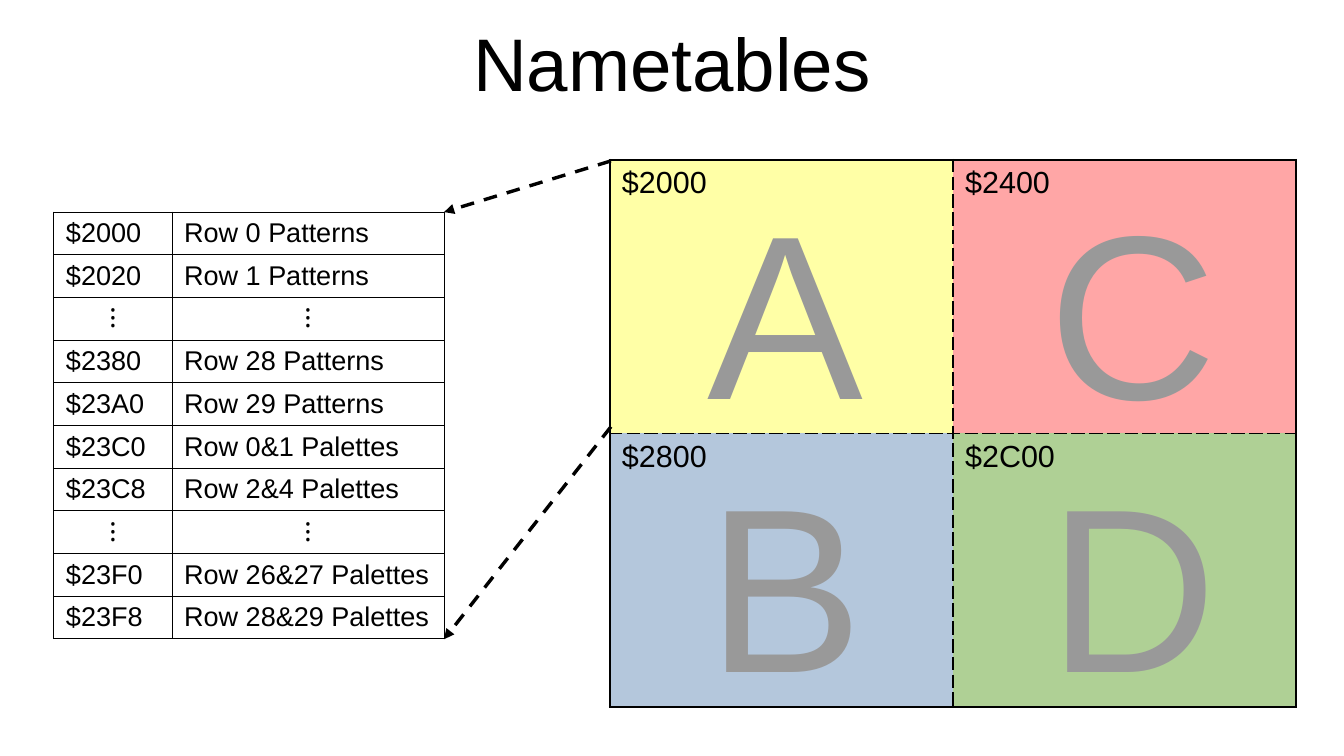
from lxml import etree
from pptx import Presentation, util as u
from pptx.dml.color import RGBColor
from pptx.enum import dml, shapes, text
from pptx.oxml import ns, parse_xml

BLACK, GREY, WHITE = "000000", "999999", "FFFFFF"
BORDER = (
    '<a:ln{side} {namespace} w="{width}"><a:solidFill><a:srgbClr val="{colour}"/>'
    '</a:solidFill><a:prstDash val="{dash}"/></a:ln{side}>'
)

presentation = Presentation()
presentation.slide_width = u.Inches(11.02)
presentation.slide_height = u.Inches(6.2)
COLUMN = presentation.slide_width / 100
ROW = presentation.slide_height / 100


def place(*lengths):
    return [u.Emu(round(length * (ROW if i % 2 else COLUMN))) for i, length in enumerate(lengths)]


def write(frame, words, size, colour, alignment=text.PP_ALIGN.LEFT):
    paragraph = frame.paragraphs[0]
    paragraph.alignment = alignment
    run = paragraph.add_run()
    run.text = words
    for name, value in {"name": "Arial", "size": u.Pt(size), "bold": False}.items():
        setattr(run.font, name, value)
    run.font.color.rgb = RGBColor.from_string(colour)


slide = presentation.slides.add_slide(presentation.slide_layouts[5])
title = slide.shapes.title
title.left, title.top, title.width, title.height = place(5, -0.3, 90, 16.8)
title_format = {
    "margin_left": 0, "margin_top": 0, "margin_right": 0, "margin_bottom": 0,
    "vertical_anchor": text.MSO_ANCHOR.MIDDLE, "word_wrap": True,
}
for name, value in title_format.items():
    setattr(title.text_frame, name, value)
write(title.text_frame, "Nametables", 44, BLACK, text.PP_ALIGN.CENTER)

map_left, map_top, map_column, map_row = 45.37, 21.13, 25.54, 36.21
list_left, list_top, list_columns, list_row = 4, 28.06, (8.8, 20.24), 5.65

nametables = [["$2000", "$2400"], ["$2800", "$2C00"]]
nametable_fills = [["FFFFA6", "FFA6A6"], ["B4C7DC", "AFD095"]]
memory = [
    ["$2000", "Row 0 Patterns"],
    ["$2020", "Row 1 Patterns"],
    ["⁝", "⁝"],
    ["$2380", "Row 28 Patterns"],
    ["$23A0", "Row 29 Patterns"],
    ["$23C0", "Row 0&1 Palettes"],
    ["$23C8", "Row 2&4 Palettes"],
    ["⁝", "⁝"],
    ["$23F0", "Row 26&27 Palettes"],
    ["$23F8", "Row 28&29 Palettes"],
]
tables = [
    (map_left, map_top, (map_column, map_column), map_row, nametables, nametable_fills, 18, 1.13, "dash"),
    (list_left, list_top, list_columns, list_row, memory, [[WHITE] * 2] * len(memory), 16, 0.62, "solid"),
]
for left, top, widths, height, contents, fills, size, line_width, inner_dash in tables:
    box = place(left, top, sum(widths), height * len(contents))
    table = slide.shapes.add_table(len(contents), len(widths), *box).table
    table.first_row = table.horz_banding = False
    for column, width in zip(table.columns, widths):
        column.width = place(width)[0]
    for row_index, row in enumerate(table.rows):
        row.height = place(0, height)[1]
        for column_index, cell in enumerate(row.cells):
            words = contents[row_index][column_index]
            centred = words == "⁝"
            write(cell.text_frame, words, size, BLACK,
                  text.PP_ALIGN.CENTER if centred else text.PP_ALIGN.LEFT)
            inner_sides = {
                "L": column_index > 0,
                "R": column_index < len(widths) - 1,
                "T": row_index > 0,
                "B": row_index < len(contents) - 1,
            }
            properties = cell._tc.get_or_add_tcPr()
            for side, inner in inner_sides.items():
                properties.append(parse_xml(BORDER.format(
                    side=side, namespace=ns.nsdecls("a"), width=u.Pt(line_width),
                    colour=BLACK, dash=inner_dash if inner else "solid")))
            cell.fill.solid()
            cell.fill.fore_color.rgb = RGBColor.from_string(fills[row_index][column_index])

letter_columns = [(51.72, 13.34, "AB"), (77.13, 14.34, "CD")]
letter_format = {"word_wrap": False, "auto_size": text.MSO_AUTO_SIZE.SHAPE_TO_FIT_TEXT}
for left, width, letters in letter_columns:
    for index, letter in enumerate(letters):
        box = slide.shapes.add_textbox(*place(left, map_top + index * map_row, width, map_row))
        for name, value in letter_format.items():
            setattr(box.text_frame, name, value)
        write(box.text_frame, letter, 137.9, GREY)

list_right = list_left + sum(list_columns)
list_bottom = list_top + list_row * len(memory)
for start, end in [(21.29, list_top), (56.45, list_bottom)]:
    arrow = slide.shapes.add_connector(
        shapes.MSO_CONNECTOR.STRAIGHT, *place(45.46, start, list_right, end))
    for name, value in {"width": u.Pt(0), "dash_style": dml.MSO_LINE.DASH}.items():
        setattr(arrow.line, name, value)
    arrow.line.color.rgb = RGBColor.from_string(BLACK)
    etree.SubElement(arrow.line._get_or_add_ln(), ns.qn("a:tailEnd"), type="triangle")
    etree.SubElement(arrow._element.spPr, ns.qn("a:effectLst"))

presentation.save("out.pptx")
